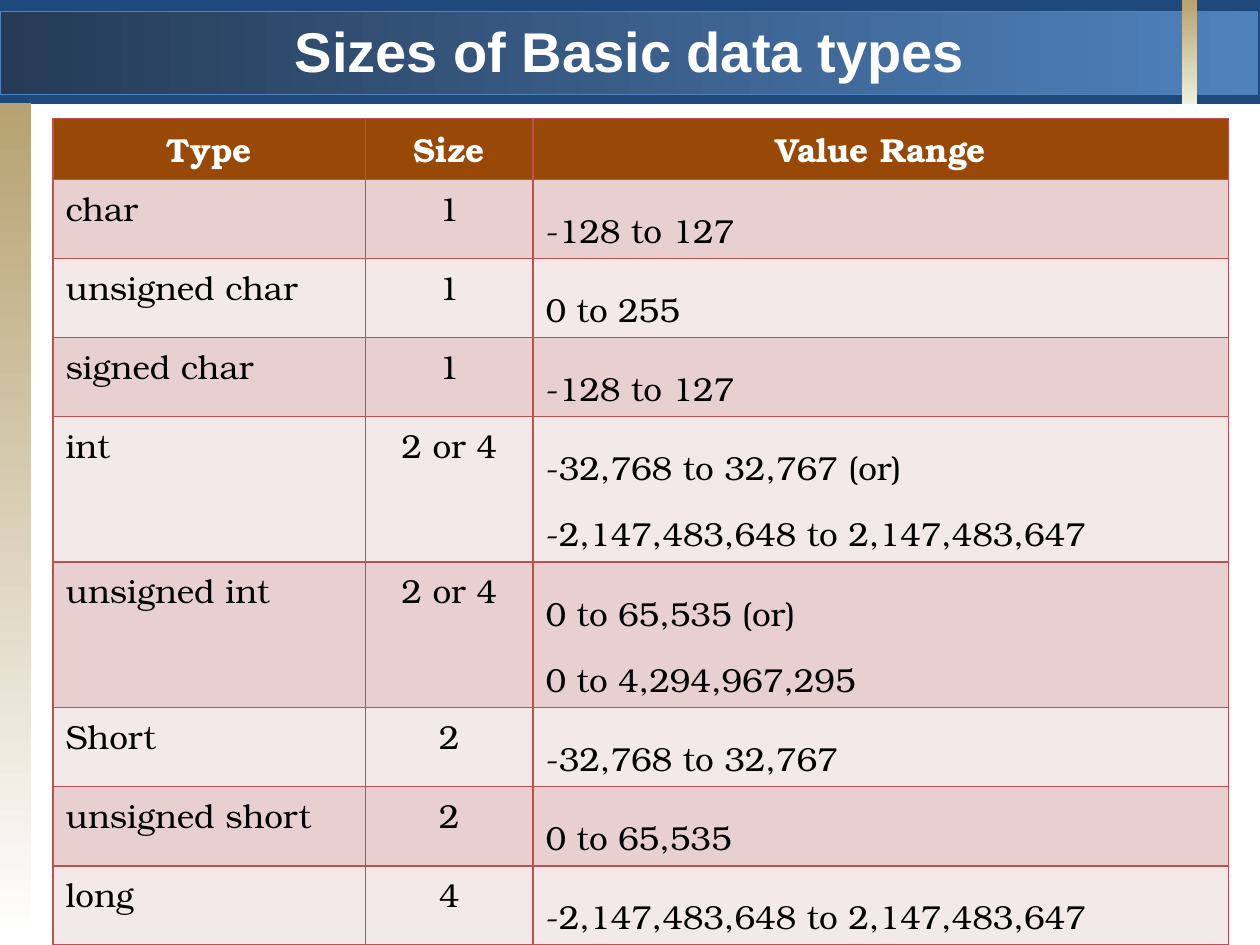
from dataclasses import dataclass
from typing import Optional

from lxml import etree
from pptx import Presentation
from pptx import util as u
from pptx.dml.color import RGBColor
from pptx.enum import shapes, text
from pptx.oxml.ns import qn

WIDTH, HEIGHT = u.Inches(10), u.Inches(7.5)
TABLE_FONT, TITLE_FONT = "TeX Gyre Bonum", "Arial"
BORDER, HEADER_FILL, BANDS = "C0504D", "984807", ("E8D0D0", "F4E9E9")
LEFT, CENTER = text.PP_ALIGN.LEFT, text.PP_ALIGN.CENTER


@dataclass
class Bar:
    """A decorative bar; lengths are shares of the slide's size."""
    left: float
    top: float
    width: float
    height: float
    colors: tuple[str, ...]
    angle: int = 0
    line: Optional[str] = None


@dataclass
class DataType:
    name: str
    size: str
    ranges: tuple[str, ...]


BARS = [
    Bar(0, 0, 1, 0.11, ("1F497D",)),
    Bar(0, 0.012, 0.998, 0.088, ("253B56", "4F81BD"), line="4F81BD"),
    Bar(0, 0.109, 0.025, 0.885, ("B6A272", "FFFFFF"), angle=270),
    Bar(0.938, 0, 0.012, 0.11, ("B6A272", "EBF1DE"), angle=270),
]

DATA_TYPES = [
    DataType("char", "1", ("-128 to 127",)),
    DataType("unsigned char", "1", ("0 to 255",)),
    DataType("signed char", "1", ("-128 to 127",)),
    DataType("int", "2 or 4", ("-32,768 to 32,767 (or)",
                               "-2,147,483,648 to 2,147,483,647")),
    DataType("unsigned int", "2 or 4", ("0 to 65,535 (or)",
                                        "0 to 4,294,967,295")),
    DataType("Short", "2", ("-32,768 to 32,767",)),
    DataType("unsigned short", "2", ("0 to 65,535",)),
    DataType("long", "4", ("-2,147,483,648 to 2,147,483,647",)),
]


def rgb(value: str) -> RGBColor:
    return RGBColor.from_string(value)


def place(left: float, top: float, width: float, height: float) -> tuple[int, ...]:
    """Turn shares of the slide into lengths."""
    return (int(left * WIDTH), int(top * HEIGHT),
            int(width * WIDTH), int(height * HEIGHT))


def draw_bar(page, bar: Bar) -> None:
    shape = page.shapes.add_shape(
        shapes.MSO_SHAPE.RECTANGLE,
        *place(bar.left, bar.top, bar.width, bar.height))
    shape.shadow.inherit = False
    if len(bar.colors) == 1:
        shape.fill.solid()
        shape.fill.fore_color.rgb = rgb(bar.colors[0])
    else:
        shape.fill.gradient()
        shape.fill.gradient_angle = bar.angle
        for stop, color in zip(shape.fill.gradient_stops, bar.colors):
            stop.color.rgb = rgb(color)
    if bar.line:
        shape.line.color.rgb = rgb(bar.line)
        shape.line.width = u.Pt(0.75)
    else:
        shape.line.fill.background()


def write(frame, lines: tuple[str, ...], font: str, size: float, color: str,
          bold: bool, align, spacing: Optional[float] = None) -> None:
    for index, line in enumerate(lines):
        para = frame.add_paragraph() if index else frame.paragraphs[0]
        para.alignment = align
        para.line_spacing = spacing
        span = para.add_run()
        span.text = line
        span.font.name = font
        span.font.size = u.Pt(size)
        span.font.bold = bold
        span.font.color.rgb = rgb(color)


def draw_borders(cell, color: str) -> None:
    properties = cell._tc.get_or_add_tcPr()
    for side in ("a:lnL", "a:lnR", "a:lnT", "a:lnB"):
        line = etree.SubElement(properties, qn(side), w=str(u.Pt(1)))
        fill = etree.SubElement(line, qn("a:solidFill"))
        etree.SubElement(fill, qn("a:srgbClr"), val=color)


def fill_cell(cell, lines: tuple[str, ...], fill: str, color: str, bold: bool,
              align, spacing: Optional[float] = None) -> None:
    draw_borders(cell, BORDER)
    cell.fill.solid()
    cell.fill.fore_color.rgb = rgb(fill)
    write(cell.text_frame, lines, TABLE_FONT, 19, color, bold, align, spacing)


def draw_table(page, types: list[DataType]) -> None:
    columns = (2.48, 1.33, 5.52)
    rows = [0.48] + [1 if len(kind.ranges) > 1 else 0.55 for kind in types]
    table = page.shapes.add_table(
        len(rows), len(columns), u.Inches(0.42), u.Inches(0.94),
        u.Inches(sum(columns)), u.Inches(sum(rows))).table
    for column, width in zip(table.columns, columns):
        column.width = u.Inches(width)
    for row, height in zip(table.rows, rows):
        row.height = u.Inches(height)

    # Header row
    for column, heading in enumerate(("Type", "Size", "Value Range")):
        fill_cell(table.cell(0, column), (heading,), HEADER_FILL, "FFFFFF",
                  True, CENTER)

    # One banded row for each data type
    for row, kind in enumerate(types, start=1):
        band = BANDS[(row - 1) % 2]
        cells = (((kind.name,), LEFT, None), ((kind.size,), CENTER, None),
                 (kind.ranges, LEFT, 1.5))
        for column, (lines, align, spacing) in enumerate(cells):
            fill_cell(table.cell(row, column), lines, band, "000000", False,
                      align, spacing)


def draw_title(page, title: str) -> None:
    box = page.shapes.add_textbox(*place(0.05, 0.011, 0.9, 0.116))
    box.text_frame.word_wrap = True
    write(box.text_frame, (title,), TITLE_FONT, 32, "FFFFFF", True, CENTER)


def main() -> None:
    deck = Presentation()
    deck.slide_width, deck.slide_height = WIDTH, HEIGHT
    page = deck.slides.add_slide(deck.slide_layouts[6])
    for bar in BARS:
        draw_bar(page, bar)
    draw_table(page, DATA_TYPES)
    draw_title(page, "Sizes of Basic data types")
    deck.save("out.pptx")


if __name__ == "__main__":
    main()
